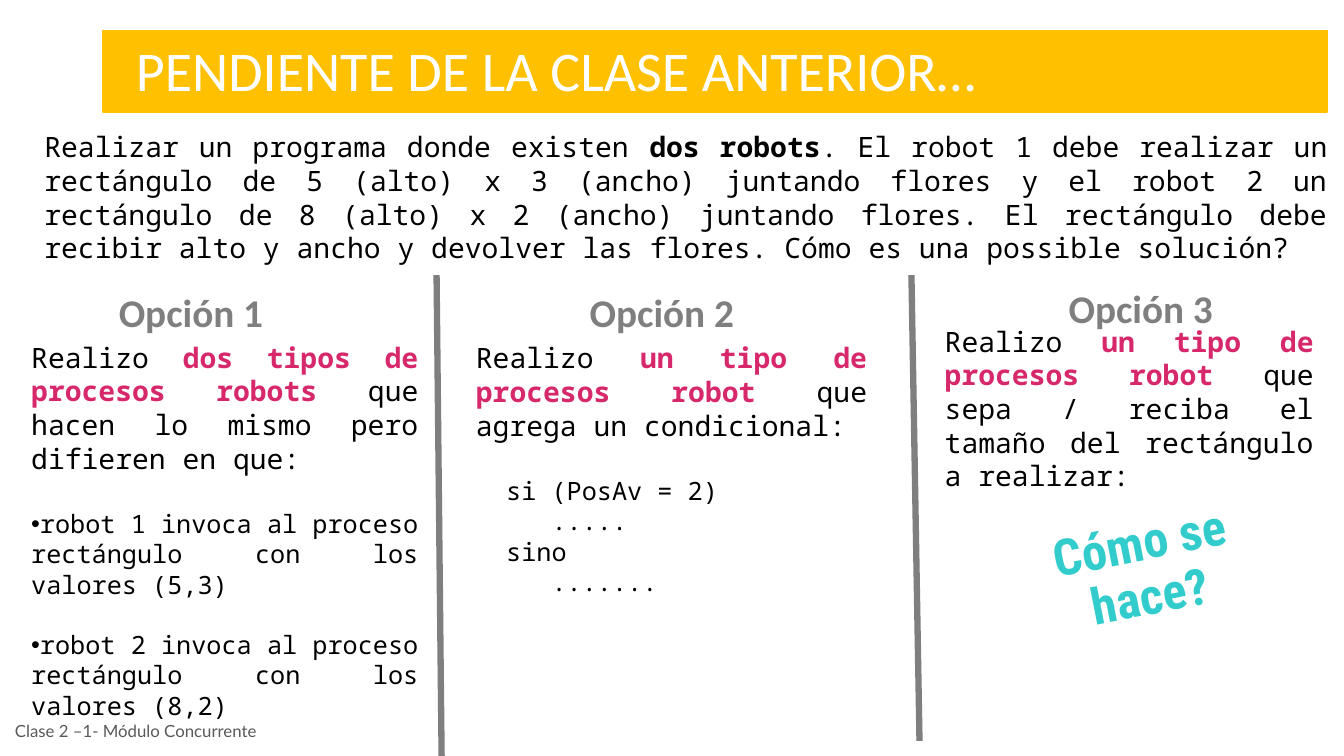
from dataclasses import dataclass
from typing import Any

from lxml.etree import SubElement
from pptx import Presentation
from pptx.dml.color import RGBColor
from pptx.enum.shapes import MSO_CONNECTOR, MSO_SHAPE
from pptx.enum.text import MSO_ANCHOR, MSO_AUTO_SIZE, PP_ALIGN
from pptx.oxml.ns import qn
from pptx.slide import Slide
from pptx.util import Inches, Pt


@dataclass(frozen=True)
class Theme:
    banner: str = "FFC000"
    white: str = "FFFFFF"
    black: str = "000000"
    gray: str = "7F7F7F"
    pink: str = "D6286A"
    teal: str = "33CCCC"
    footer: str = "595959"
    sans: str = "Calibri"
    mono: str = "Noto Sans Mono"
    title_size: float = 40
    question_size: float = 36
    heading_size: float = 28
    body_size: float = 20
    detail_size: float = 18
    footer_size: float = 12


THEME = Theme()


@dataclass(frozen=True)
class Style:
    size: float
    color: str = THEME.black
    font: str = THEME.mono
    bold: bool = False


BODY = Style(THEME.body_size)
STRONG = Style(THEME.body_size, bold=True)
ACCENT = Style(THEME.body_size, THEME.pink, bold=True)
DETAIL = Style(THEME.detail_size)
HEADING = Style(THEME.heading_size, THEME.gray, THEME.sans, True)
TITLE = Style(THEME.title_size, THEME.white, THEME.sans)
QUESTION = Style(THEME.question_size, THEME.teal, "Roboto Condensed", True)
FOOTER = Style(THEME.footer_size, THEME.footer, "Lato")


@dataclass(frozen=True)
class Span:
    text: str
    style: Style = BODY


@dataclass(frozen=True)
class Para:
    spans: tuple[Span, ...]
    align: PP_ALIGN = PP_ALIGN.JUSTIFY
    before: float = 0
    indent: float = 0
    bullet: bool = False
    line_spacing: float = 1


@dataclass(frozen=True)
class TextBox:
    left: float
    top: float
    width: float
    height: float
    paras: tuple[Para, ...]
    padded: bool = False
    anchor: MSO_ANCHOR = MSO_ANCHOR.MIDDLE
    rotation: float = 0


@dataclass(frozen=True)
class Divider:
    start: tuple[float, float]
    end: tuple[float, float]


def label(left: float, top: float, width: float, height: float, text: str,
          style: Style, align: PP_ALIGN = PP_ALIGN.LEFT, **options: Any) -> TextBox:
    spacing = 0.9 if align == PP_ALIGN.CENTER else 1
    para = Para((Span(text, style),), align, line_spacing=spacing)
    return TextBox(left, top, width, height, (para,), True, **options)


def heading(left: float, top: float, number: int) -> TextBox:
    return label(left, top, 1.9, 0.57, f"Opción {number}", HEADING, anchor=MSO_ANCHOR.TOP)


def proposal(accent: str, rest: str) -> Para:
    return Para((Span("Realizo "), Span(accent, ACCENT), Span(rest)))


def robot_step(number: int, size: str, before: float) -> Para:
    text = f"robot {number} invoca al proceso rectángulo con los valores ({size})"
    return Para((Span(text, DETAIL),), before=before, bullet=True)


def code_line(text: str, indent: float, before: float = 0) -> Para:
    return Para((Span(text, DETAIL),), before=before, indent=indent)


TEXT_BOXES = (
    label(1.25, 0.3, 8.62, 0.77, "PENDIENTE DE LA CLASE ANTERIOR…", TITLE,
          anchor=MSO_ANCHOR.TOP),
    TextBox(0.44, 1.28, 12.73, 1.35, (Para((
        Span("Realizar un programa donde existen "),
        Span("dos robots", STRONG),
        Span(". El robot 1 debe realizar un rectángulo de 5 (alto) x 3 (ancho) "
             "juntando flores y el robot 2 un rectángulo de 8 (alto) x 2 (ancho) "
             "juntando flores. El rectángulo debe recibir alto y ancho y devolver "
             "las flores. Cómo es una possible solución?"),
    )),)),
    heading(1.08, 2.81, 1),
    TextBox(0.31, 3.36, 3.84, 3.8, (
        proposal("dos tipos de procesos robots",
                 " que hacen lo mismo pero difieren en que:"),
        robot_step(1, "5,3", 24),
        robot_step(2, "8,2", 21.6),
    )),
    heading(5.75, 2.81, 2),
    TextBox(4.72, 3.37, 3.88, 2.56, (
        proposal("un tipo de procesos robot", " que agrega un condicional:"),
        code_line("si (PosAv = 2)", 0.3, 24),
        code_line(".....", 0.75),
        code_line("sino", 0.3),
        code_line(".......", 0.75),
    )),
    heading(10.5, 2.77, 3),
    TextBox(9.37, 3.21, 3.66, 1.68, (
        proposal("un tipo de procesos robot",
                 " que sepa / reciba el tamaño del rectángulo a realizar:"),
    )),
    label(9.95, 5.08, 2.79, 1.08, "Cómo se hace?", QUESTION, PP_ALIGN.CENTER,
          anchor=MSO_ANCHOR.TOP, rotation=348.8),
    label(0.05, 7.05, 2.68, 0.4, "Clase 2 –1- Módulo Concurrente", FOOTER),
)

DIVIDERS = (
    Divider((4.33, 2.73), (4.38, 7.5)),
    Divider((9.04, 2.73), (9.12, 7.35)),
)


def set_format(target: Any, values: dict[str, Any]) -> None:
    for name, value in values.items():
        setattr(target, name, value)


def draw_banner(page: Slide) -> None:
    banner = page.shapes.add_shape(
        MSO_SHAPE.RECTANGLE, Inches(1.02), Inches(0.3), Inches(12.14), Inches(0.81))
    banner.shadow.inherit = False
    banner.fill.solid()
    banner.fill.fore_color.rgb = RGBColor.from_string(THEME.banner)
    banner.line.color.rgb = RGBColor.from_string(THEME.banner)
    banner.line.width = Pt(1)


def draw_divider(page: Slide, divider: Divider) -> None:
    ends = [Inches(value) for value in divider.start + divider.end]
    line = page.shapes.add_connector(MSO_CONNECTOR.STRAIGHT, *ends)
    line.line.color.rgb = RGBColor.from_string(THEME.gray)
    line.line.width = Pt(4.5)
    SubElement(line._element.spPr, qn("a:effectLst"))


def write_para(target: Any, para: Para) -> None:
    set_format(target, {"alignment": para.align, "space_before": Pt(para.before),
                        "line_spacing": para.line_spacing})
    properties = target._p.get_or_add_pPr()
    properties.set("marL", str(Inches(para.indent)))
    properties.set("indent", "0")
    if para.bullet:
        SubElement(properties, qn("a:buFont")).set("typeface", "Arial")
        SubElement(properties, qn("a:buChar")).set("char", "•")
    for span in para.spans:
        run = target.add_run()
        run.text = span.text
        style = span.style
        set_format(run.font, {"name": style.font, "size": Pt(style.size), "bold": style.bold})
        run.font.color.rgb = RGBColor.from_string(style.color)


def draw_text(page: Slide, box: TextBox) -> None:
    shape = page.shapes.add_textbox(
        Inches(box.left), Inches(box.top), Inches(box.width), Inches(box.height))
    shape.rotation = box.rotation
    side, edge = (Inches(0.1), Inches(0.05)) if box.padded else (0, 0)
    frame = shape.text_frame
    set_format(frame, {"word_wrap": True, "auto_size": MSO_AUTO_SIZE.NONE,
                       "vertical_anchor": box.anchor,
                       "margin_left": side, "margin_right": side,
                       "margin_top": edge, "margin_bottom": edge})
    for index, para in enumerate(box.paras):
        write_para(frame.add_paragraph() if index else frame.paragraphs[0], para)


def main() -> None:
    deck = Presentation()
    set_format(deck, {"slide_width": Inches(13.33), "slide_height": Inches(7.5)})
    page = deck.slides.add_slide(deck.slide_layouts[6])
    draw_banner(page)
    for divider in DIVIDERS:
        draw_divider(page, divider)
    for box in TEXT_BOXES:
        draw_text(page, box)
    deck.save("out.pptx")


if __name__ == "__main__":
    main()
